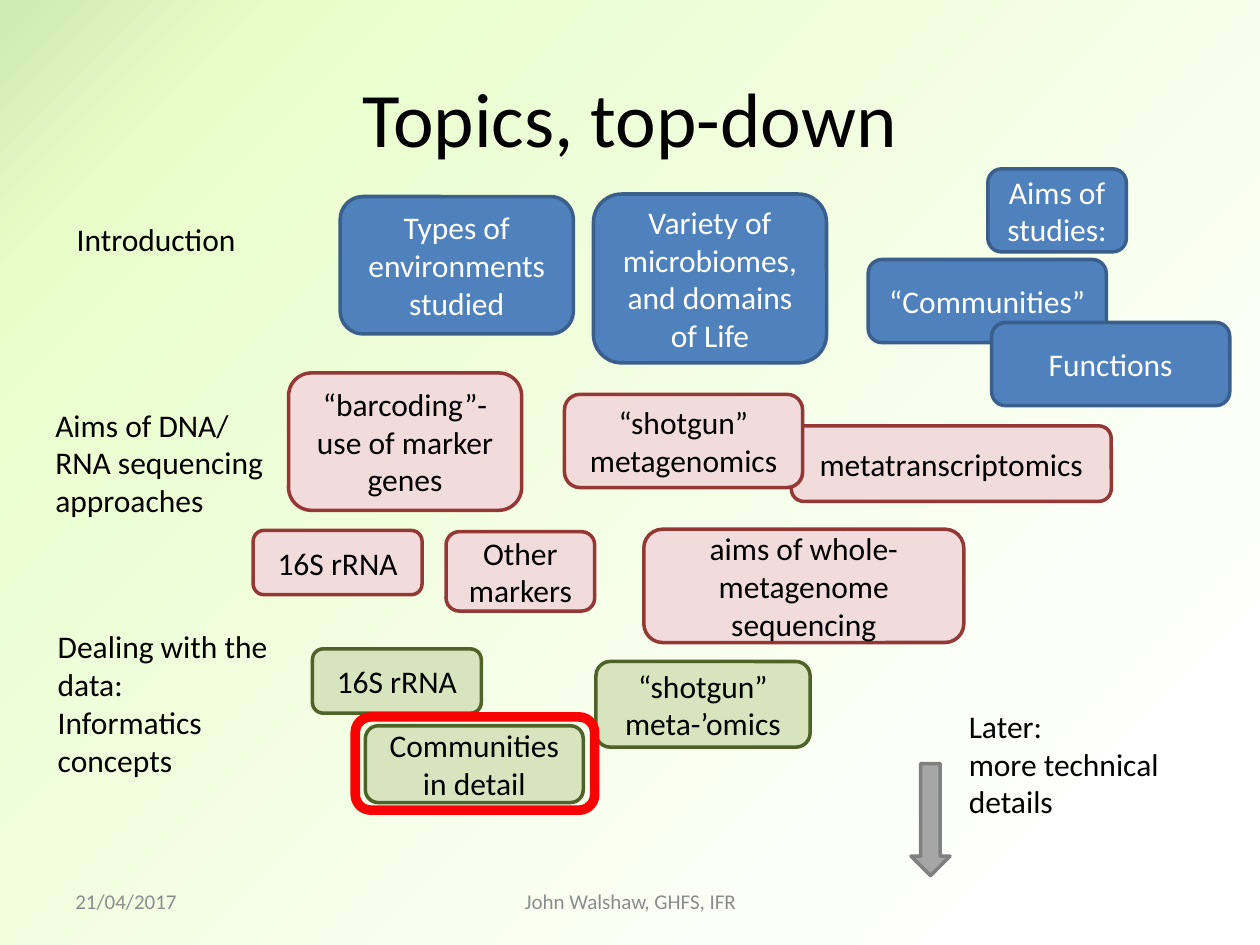
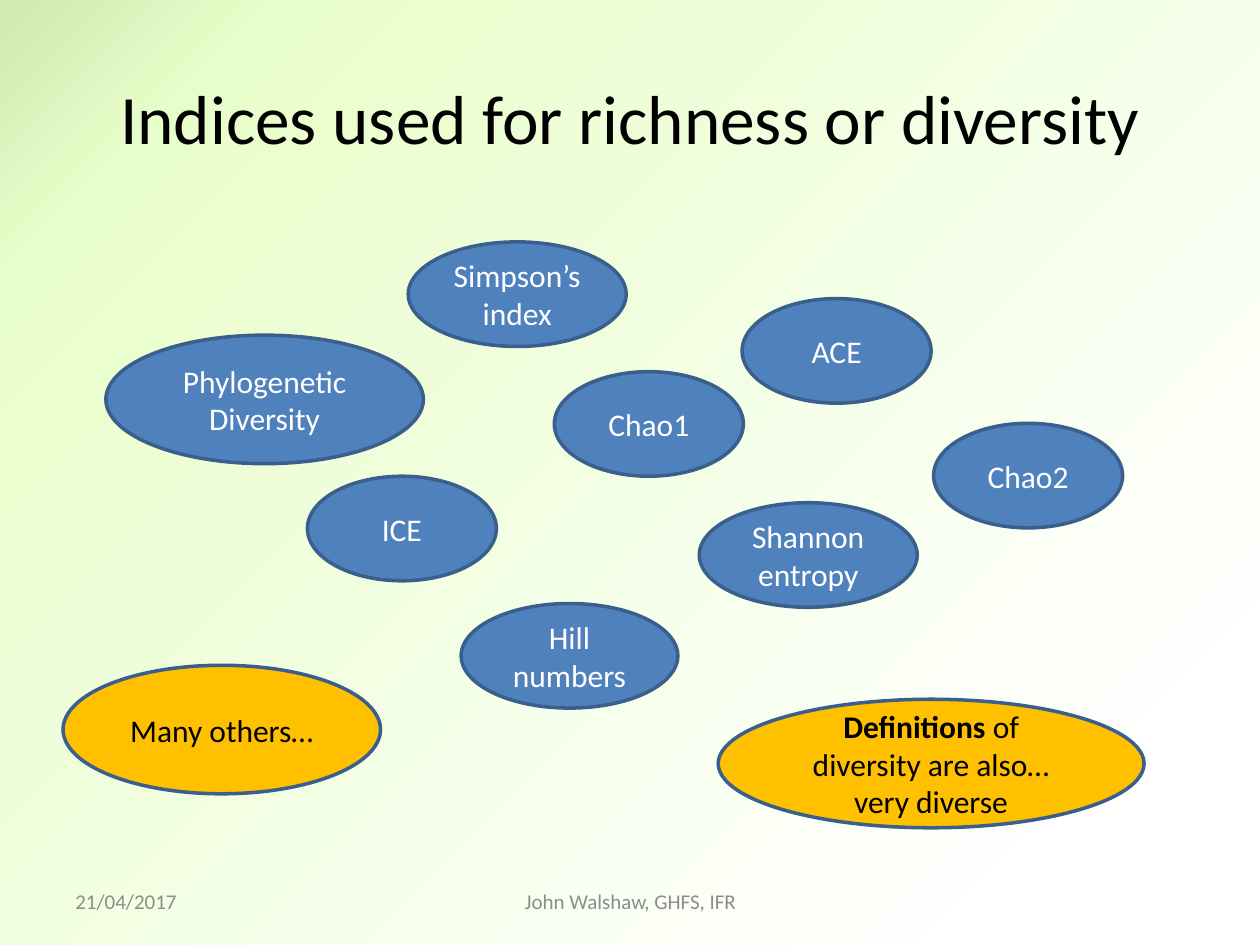
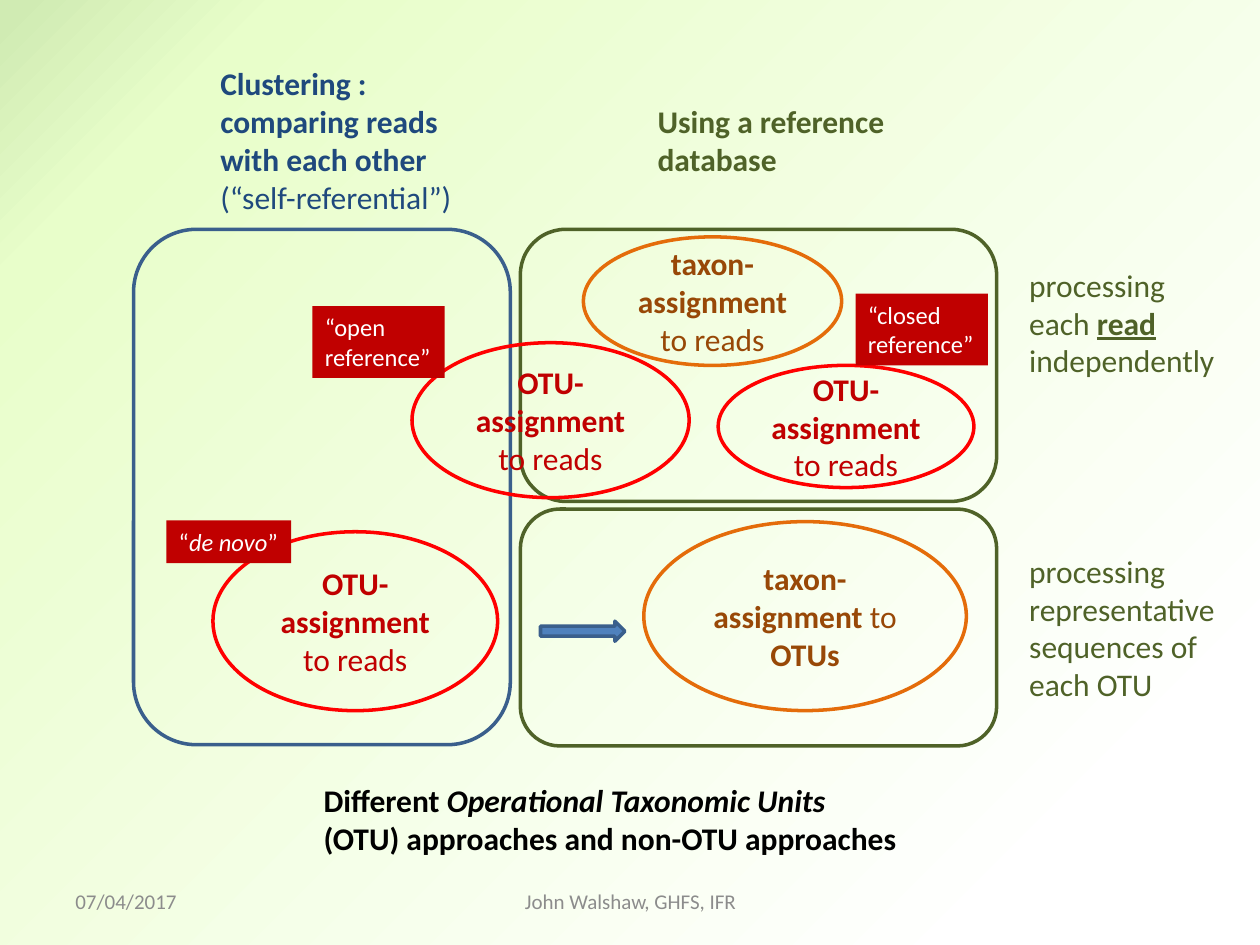
from copy import deepcopy

from pptx import Presentation
from pptx.dml.color import RGBColor
from pptx.enum.shapes import MSO_SHAPE as SHAPE
from pptx.enum.text import MSO_ANCHOR as ANCHOR, MSO_AUTO_SIZE as AUTO_SIZE, PP_ALIGN as ALIGN
from pptx.util import Pt

PX = 9144
FONT = "Calibri"
COLORS = {
    "black": "000000", "white": "FFFFFF", "footer": "8C8C8C",
    "mint": "D0EBB3", "lime": "E8FECA",
    "blue": "4F81BD", "blue_edge": "3A5F8C", "navy": "1F497D",
    "pink": "F2DCDB", "maroon": "953735",
    "sage": "D7E4BD", "olive": "4F6228",
    "gray": "A6A6A6", "gray_edge": "808080",
    "gold": "FFC000", "orange": "E46C0A", "brown": "984807",
    "red": "FF0000", "crimson": "C00000",
}
RGB = {name: RGBColor.from_string(value) for name, value in COLORS.items()}


def write(frame, paragraphs, color, size=18, align=ALIGN.LEFT, anchor=ANCHOR.TOP, wrap=True):
    frame.word_wrap = wrap
    frame.auto_size = AUTO_SIZE.NONE
    frame.vertical_anchor = anchor
    for index, runs in enumerate(paragraphs):
        paragraph = frame.add_paragraph() if index else frame.paragraphs[0]
        paragraph.alignment = align
        for text, style in runs:
            run = paragraph.add_run()
            run.text = text
            run.font.name = FONT
            run.font.size = Pt(size)
            run.font.color.rgb = RGB[color]
            run.font.bold = "b" in style
            run.font.italic = "i" in style
            run.font.underline = "u" in style


def draw(slide, kind, box, fill, edge, runs=(), color="black", width=2):
    shape = slide.shapes.add_shape(kind, *[value * PX for value in box])
    shape.shadow.inherit = False
    if fill:
        shape.fill.solid()
        shape.fill.fore_color.rgb = RGB[fill]
    else:
        shape.fill.background()
    shape.line.color.rgb = RGB[edge]
    shape.line.width = Pt(width)
    if runs:
        write(shape.text_frame, [runs], color, align=ALIGN.CENTER, anchor=ANCHOR.MIDDLE)


presentation = Presentation()
presentation.slide_width = 1000 * PX
presentation.slide_height = 750 * PX

master = presentation.slide_master
background = master.background.fill
background.gradient()
background.gradient_angle = 315
stop_list = master.element.xpath("./p:cSld/p:bg//a:gsLst")[0]
stop_list.append(deepcopy(stop_list[0]))
gradient = [(0.01, "mint"), (0.13, "lime"), (0.87, "white")]
for stop, (position, color) in zip(background.gradient_stops, gradient):
    stop.position = position
    stop.color.rgb = RGB[color]

slides = []
for title, title_size, date in [
    ("Topics, top-down", 44, "21/04/2017"),
    ("Indices used for richness or diversity", 39.6, "21/04/2017"),
    (None, None, "07/04/2017"),
]:
    slide = presentation.slides.add_slide(presentation.slide_layouts[5 if title else 6])
    if title:
        heading = slide.shapes.title
        heading.left, heading.top, heading.width, heading.height = [
            value * PX for value in (50, 30, 900, 125)]
        write(heading.text_frame, [[(title, "")]], "black", title_size, ALIGN.CENTER, ANCHOR.MIDDLE)
    for text, left, width, align in [
        (date, 50, 233, ALIGN.LEFT),
        ("John Walshaw, GHFS, IFR", 342, 317, ALIGN.CENTER),
    ]:
        footer = slide.shapes.add_textbox(left * PX, 695 * PX, width * PX, 40 * PX)
        write(footer.text_frame, [[(text, "")]], "footer", 12, align, ANCHOR.MIDDLE)
    slides.append(slide)
topics, indices, approaches = slides

for lines, box in [
    (["Introduction"], (51, 170, 148, 40)),
    (["Aims of DNA/ RNA sequencing", "approaches"], (34, 317, 189, 101)),
    (["Dealing with the data:", "Informatics concepts"], (36, 493, 189, 131)),
    (["Later:", "more technical details"], (759, 556, 198, 101)),
]:
    label = topics.shapes.add_textbox(*[value * PX for value in box])
    write(label.text_frame, [[(line, "")] for line in lines], "black")

for fill, edge, color, cards in [
    ("blue", "blue_edge", "white", [
        ("Types of environments studied", (270, 156, 185, 109)),
        ("Variety of microbiomes, and domains of Life", (471, 154, 185, 134)),
        ("Aims of studies:", (784, 134, 110, 66)),
        ("“Communities”", (689, 206, 189, 66)),
        ("Functions", (787, 256, 189, 66)),
    ]),
    ("pink", "maroon", "black", [
        ("“barcoding”- use of marker genes", (229, 296, 185, 109)),
        ("metatranscriptomics", (628, 338, 254, 60)),
        ("“shotgun” metagenomics", (448, 313, 189, 74)),
        ("16S rRNA", (201, 421, 134, 51)),
        ("Other markers", (354, 422, 118, 63)),
        ("aims of whole-metagenome sequencing", (511, 420, 254, 90)),
    ]),
    ("sage", "olive", "black", [
        ("16S rRNA", (248, 515, 134, 51)),
        ("“shotgun” meta-’omics", (473, 525, 170, 68)),
        ("Communities in detail", (290, 576, 173, 61)),
    ]),
]:
    for text, box in cards:
        draw(topics, SHAPE.ROUNDED_RECTANGLE, box, fill, edge, [(text, "")], color)
draw(topics, SHAPE.DOWN_ARROW, (723, 606, 31, 89), "gray", "gray_edge")
draw(topics, SHAPE.ROUNDED_RECTANGLE, (282, 569, 190, 74), None, "red", width=5.5)

for text, left, top, width, height in [
    ("Simpson’s index", 324, 192, 173, 83),
    ("Chao1", 440, 295, 150, 83),
    ("Shannon entropy", 555, 399, 173, 83),
    ("ACE", 589, 237, 150, 83),
    ("ICE", 244, 378, 150, 83),
    ("Hill numbers", 366, 479, 172, 83),
    ("Chao2", 741, 336, 150, 83),
    ("Phylogenetic Diversity", 84, 266, 252, 102),
]:
    draw(indices, SHAPE.OVAL, (left, top, width, height), "blue", "blue_edge", [(text, "")], "white")
for runs, box in [
    ([("Many others…", "")], (50, 528, 252, 102)),
    ([("Definitions", "b"), (" of diversity are also… very diverse", "")], (570, 555, 338, 102)),
]:
    draw(indices, SHAPE.OVAL, box, "gold", "blue_edge", runs)

for box, edge in [
    ((106, 182, 299, 409), "blue_edge"),
    ((413, 182, 378, 216), "olive"),
    ((413, 404, 378, 188), "olive"),
]:
    draw(approaches, SHAPE.ROUNDED_RECTANGLE, box, None, edge)

taxon = ("taxon-assignment ", "b")
otu = ("OTU-assignment ", "b")
to_reads = ("to reads", "")
for runs, box, edge, color in [
    ([taxon, to_reads], (463, 188, 205, 102), "orange", "brown"),
    ([taxon, ("to ", ""), ("OTUs", "b")], (511, 414, 256, 150), "orange", "brown"),
    ([otu, to_reads], (169, 422, 226, 142), "red", "crimson"),
    ([otu, to_reads], (570, 290, 203, 97), "red", "crimson"),
    ([otu, to_reads], (327, 272, 220, 123), "red", "crimson"),
]:
    draw(approaches, SHAPE.OVAL, box, None, edge, runs, color)
draw(approaches, SHAPE.RIGHT_ARROW, (429, 493, 67, 16), "blue", "blue_edge")

for paragraphs, box in [
    ([[("“", ""), ("de novo", "i"), ("”", "")]], (132, 413, 99, 34)),
    ([[("“closed", "")], [("reference”", "")]], (679, 233, 105, 57)),
    ([[("“open", "")], [("reference”", "")]], (248, 243, 105, 57)),
]:
    tag = approaches.shapes.add_textbox(*[value * PX for value in box])
    tag.fill.solid()
    tag.fill.fore_color.rgb = RGB["crimson"]
    write(tag.text_frame, paragraphs, "white", 14, wrap=False)

for runs, box, color in [
    ([("Clustering : comparing reads with each other ", "b"), ("(“self-referential”)", "")],
     (165, 46, 220, 131), "navy"),
    ([("Using a reference database", "b")], (512, 76, 232, 71), "olive"),
    ([("processing each ", ""), ("read", "bu"), (" independently", "")], (807, 206, 169, 131), "olive"),
    ([("processing representative sequences of each OTU", "")], (807, 433, 169, 162), "olive"),
    ([("Different ", "b"), ("Operational Taxonomic Units ", "bi"),
      ("(OTU) approaches and non-OTU approaches", "b")], (247, 615, 483, 71), "black"),
]:
    caption = approaches.shapes.add_textbox(*[value * PX for value in box])
    write(caption.text_frame, [runs], color)

presentation.save("out.pptx")
